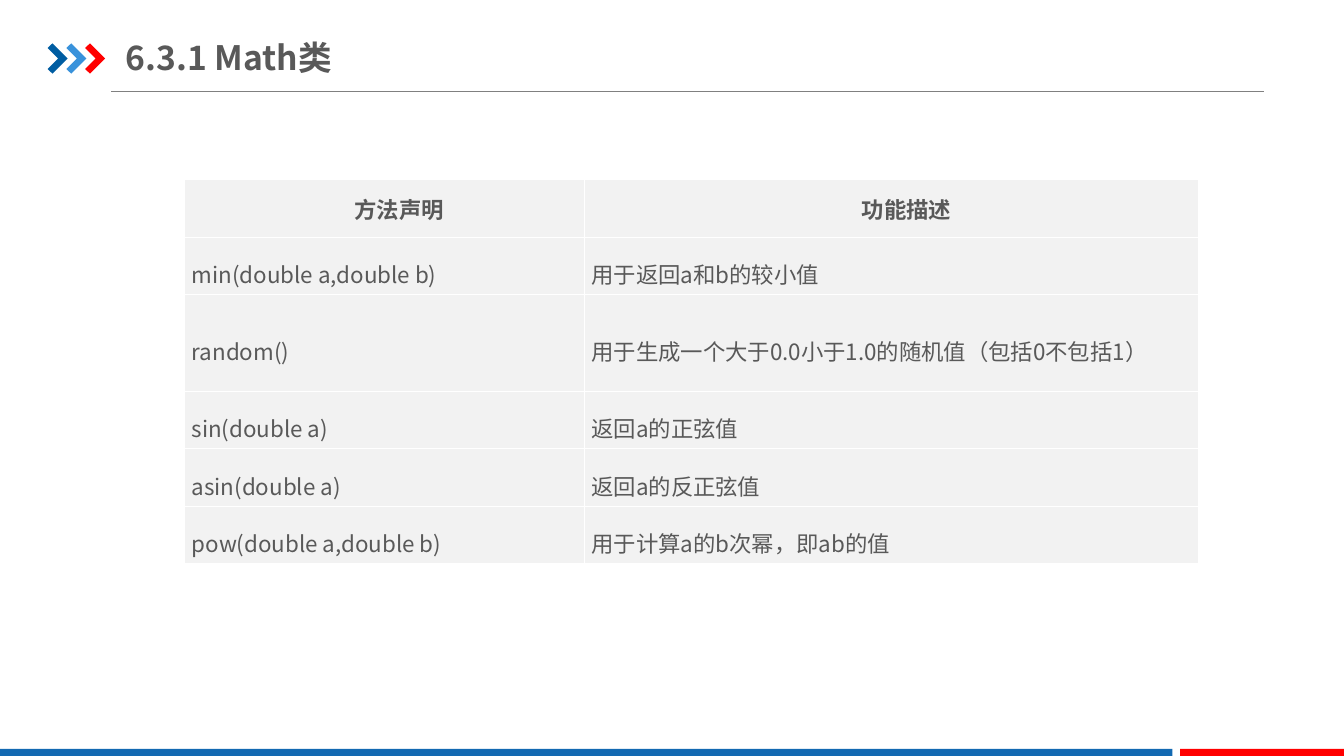
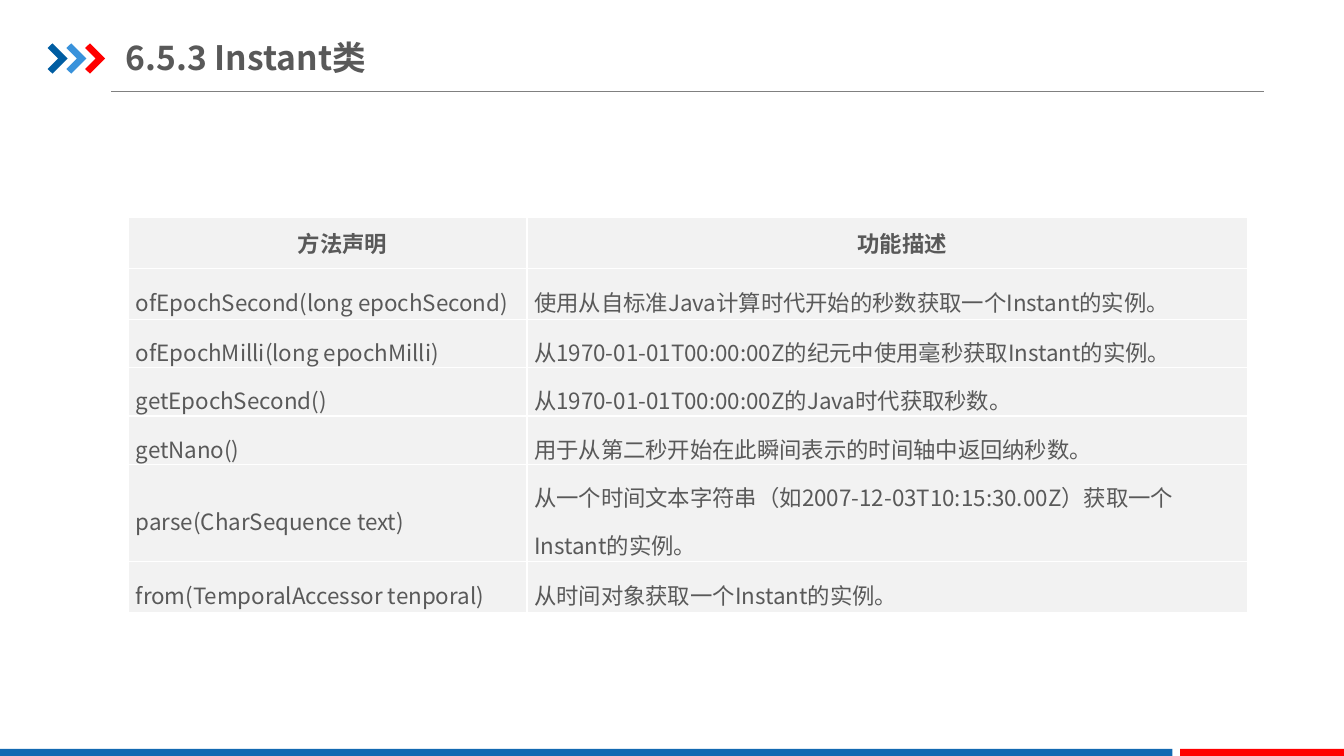
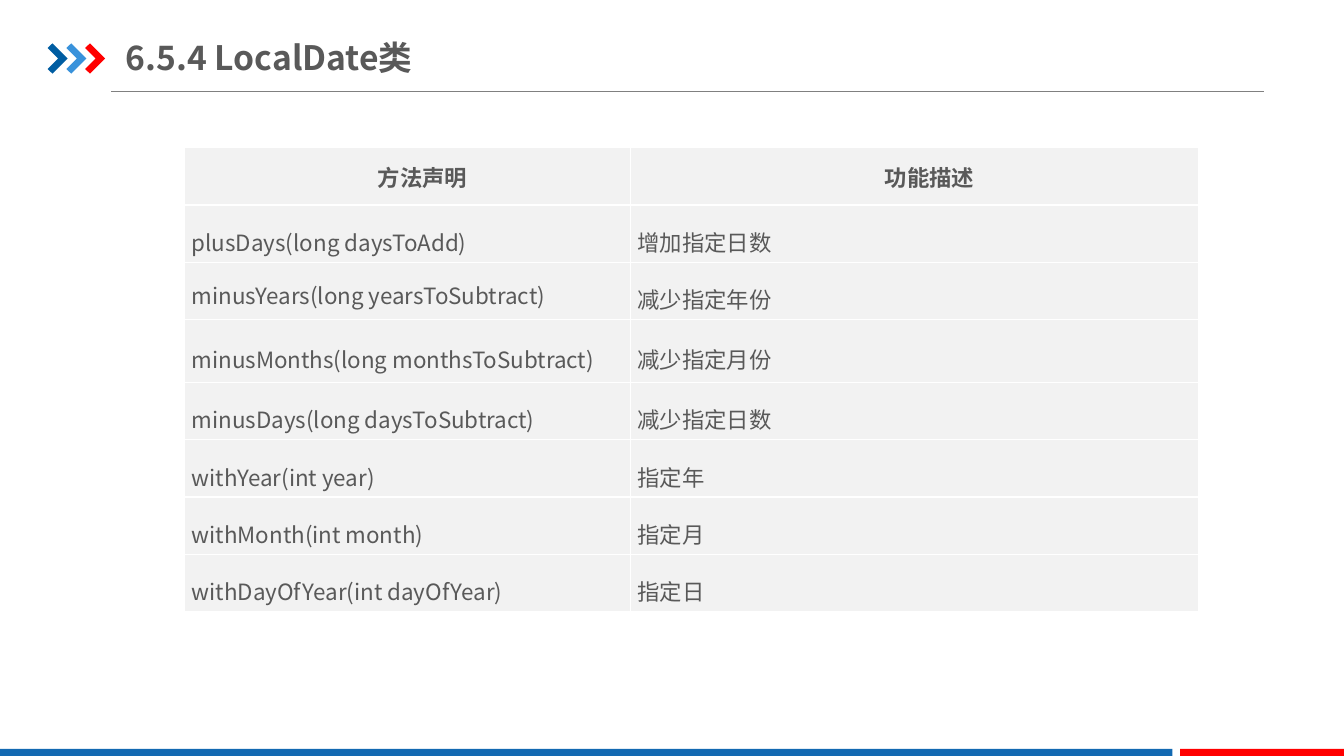
from dataclasses import dataclass

from pptx import Presentation
from pptx.dml.color import RGBColor
from pptx.enum.shapes import MSO_CONNECTOR, MSO_SHAPE, PP_PLACEHOLDER
from pptx.enum.text import MSO_ANCHOR, PP_ALIGN
from pptx.oxml import parse_xml
from pptx.oxml.ns import nsdecls, qn
from pptx.util import Pt


@dataclass(frozen=True)
class Theme:
    font: str = "Noto Sans CJK SC"
    ink: str = "595959"
    cell: str = "F2F2F2"
    edge: str = "FFFFFF"
    rule: str = "808080"
    navy: str = "005DA2"
    sky: str = "3992DB"
    blue: str = "1369B2"
    red: str = "FF0000"
    head: float = 24
    body: float = 16


THEME = Theme()
TITLE_ONLY = 5

# Slide content: title, table place, column widths, row heights, rows
HEADS = ("方法声明", "功能描述")
MATH = (
    ("min(double a,double b)", "用于返回a和b的较小值"),
    ("random()", "用于生成一个大于0.0小于1.0的随机值（包括0不包括1）"),
    ("sin(double a)", "返回a的正弦值"),
    ("asin(double a)", "返回a的反正弦值"),
    ("pow(double a,double b)", "用于计算a的b次幂，即ab的值"),
)
INSTANT = (
    ("ofEpochSecond(long epochSecond)",
     "使用从自标准Java计算时代开始的秒数获取一个Instant的实例。"),
    ("ofEpochMilli(long epochMilli)",
     "从1970-01-01T00:00:00Z的纪元中使用毫秒获取Instant的实例。"),
    ("getEpochSecond()", "从1970-01-01T00:00:00Z的Java时代获取秒数。"),
    ("getNano()", "用于从第二秒开始在此瞬间表示的时间轴中返回纳秒数。"),
    ("parse(CharSequence text)",
     "从一个时间文本字符串（如2007-12-03T10:15:30.00Z）获取一个Instant的实例。"),
    ("from(TemporalAccessor tenporal)", "从时间对象获取一个Instant的实例。"),
)
DATE = (
    ("plusDays(long daysToAdd)", "增加指定日数"),
    ("minusYears(long yearsToSubtract)", "减少指定年份"),
    ("minusMonths(long monthsToSubtract)", "减少指定月份"),
    ("minusDays(long daysToSubtract)", "减少指定日数"),
    ("withYear(int year)", "指定年"),
    ("withMonth(int month)", "指定月"),
    ("withDayOfYear(int dayOfYear)", "指定日"),
)
ROW, TALL = 41, 44.6
PAGES = (
    ("6.3.1 Math类", (132, 128.5), (285.5, 439),
     (ROW, ROW, TALL, ROW, ROW, ROW), MATH),
    ("6.5.3 Instant类", (92, 155.5), (284.5, 515),
     (36.5, 36, 34, 34, 33, 52.5, 36.5), INSTANT),
    ("6.5.4 LocalDate类", (132, 105.5), (318.5, 406),
     (ROW, ROW, ROW, TALL, ROW, ROW, ROW, ROW), DATE),
)


# Text
def write(par, text, *, size=THEME.body, color=THEME.ink, bold=False,
          align=PP_ALIGN.LEFT, line=None, indent=0):
    par.alignment = align
    if line:
        par.line_spacing = line
    if indent:
        par._p.get_or_add_pPr().set("indent", str(Pt(indent)))
    run = par.add_run()
    run.text = text
    font = run.font
    font.name, font.size, font.bold = THEME.font, Pt(size), bold
    font.color.rgb = RGBColor.from_string(color)
    asian = parse_xml(f'<a:ea {nsdecls("a")} typeface="{THEME.font}"/>')
    run._r.rPr.find(qn("a:latin")).addnext(asian)


# Shapes
def paint(shape, color):
    shape.fill.solid()
    shape.fill.fore_color.rgb = RGBColor.from_string(color)
    shape.line.fill.background()
    shape.shadow.inherit = False


def bar(shapes, left, width, color):
    paint(shapes.add_shape(MSO_SHAPE.RECTANGLE, Pt(left), Pt(535),
                           Pt(width), Pt(5)), color)


def arrow(shapes, left, top, color):
    spots = [(0, 3.3), (3.5, 0), (14.4, 10.8), (3.5, 21.6), (0, 18.3), (7.6, 10.8)]
    first, *rest = [(Pt(left + x), Pt(top + y)) for x, y in spots]
    pen = shapes.build_freeform(*first)
    pen.add_line_segments(rest, close=True)
    paint(pen.convert_to_shape(), color)


def rule(shapes, left, right, top):
    line = shapes.add_connector(MSO_CONNECTOR.STRAIGHT, Pt(left), Pt(top),
                                Pt(right), Pt(top))
    line.line.color.rgb = RGBColor.from_string(THEME.rule)
    line.line.width = Pt(0.75)
    line.element.spPr.append(parse_xml(f'<a:effectLst {nsdecls("a")}/>'))


# Shared layout: title place, arrows, rule and footer bars
def set_title(layout):
    for spot in list(layout.placeholders):
        if spot.placeholder_format.type != PP_PLACEHOLDER.TITLE:
            spot.element.getparent().remove(spot.element)
    title = layout.placeholders[0]
    title.left, title.top = Pt(90), Pt(21)
    title.width, title.height = Pt(307), Pt(39.5)
    frame = title.text_frame
    frame.word_wrap = True
    frame.vertical_anchor = MSO_ANCHOR.MIDDLE
    frame.margin_left = frame.margin_right = 0
    frame.margin_top = frame.margin_bottom = Pt(5)
    return title


def add_frame(slide, title):
    shapes = slide.shapes
    rule(shapes, 79.5, 903, 65.5)
    group = shapes.add_group_shape()
    for i, color in enumerate((THEME.navy, THEME.sky, THEME.red)):
        arrow(group.shapes, 34 + 13.4 * i, 31, color)
    bar(shapes, 0, 837.5, THEME.blue)
    bar(shapes, 843, 117, THEME.red)
    # Layouts cannot draw shapes themselves, so these move there
    tree = title.element.getparent()
    for shape in list(shapes):
        if not shape.is_placeholder:
            tree.append(shape.element)


# Tables
def style(cell):
    cell.margin_left = cell.margin_right = Pt(5)
    cell.margin_top = cell.margin_bottom = 0
    cell.vertical_anchor = MSO_ANCHOR.MIDDLE
    props = cell._tc.get_or_add_tcPr()
    for side in "LRTB":
        props.append(parse_xml(
            f'<a:ln{side} {nsdecls("a")} w="{Pt(1)}"><a:solidFill>'
            f'<a:srgbClr val="{THEME.edge}"/></a:solidFill></a:ln{side}>'))
    cell.fill.solid()
    cell.fill.fore_color.rgb = RGBColor.from_string(THEME.cell)


def add_grid(slide, place, cols, highs, rows):
    left, top = place
    grid = slide.shapes.add_table(
        len(rows), len(cols), Pt(left), Pt(top),
        Pt(sum(cols)), Pt(sum(highs))).table
    grid.first_row = grid.horz_banding = False
    for col, width in zip(grid.columns, cols):
        col.width = Pt(width)
    for i, (row, high, texts) in enumerate(zip(grid.rows, highs, rows)):
        row.height = Pt(high)
        form = {"line": 1.5} if i else {
            "bold": True, "align": PP_ALIGN.CENTER, "indent": 21}
        for cell, text in zip(row.cells, texts):
            style(cell)
            write(cell.text_frame.paragraphs[0], text, **form)
    return grid


def main():
    deck = Presentation()
    deck.slide_width, deck.slide_height = Pt(960), Pt(540)
    layout = deck.slide_layouts[TITLE_ONLY]
    title = set_title(layout)
    grids = []
    for i, (name, place, cols, highs, rows) in enumerate(PAGES):
        slide = deck.slides.add_slide(layout)
        if i == 0:
            add_frame(slide, title)
        write(slide.shapes.title.text_frame.paragraphs[0], name,
              size=THEME.head, bold=True)
        grids.append(add_grid(slide, place, cols, highs, (HEADS, *rows)))
    # The minusYears cell sits at the top of its row
    grids[-1].cell(2, 0).vertical_anchor = MSO_ANCHOR.TOP
    deck.save("out.pptx")


if __name__ == "__main__":
    main()
